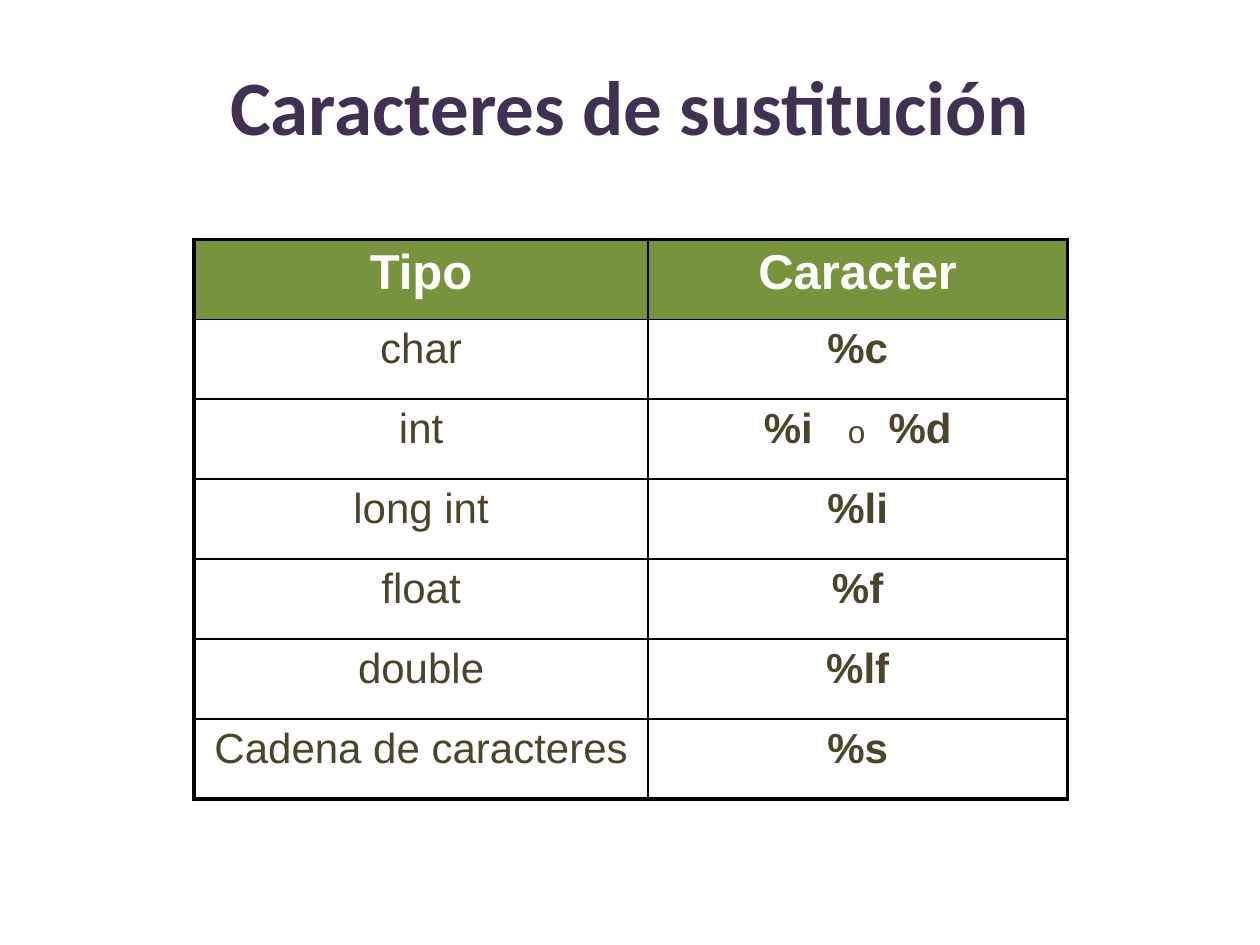
from lxml.etree import SubElement
from pptx import Presentation
from pptx.dml.color import RGBColor
from pptx.enum.text import MSO_ANCHOR, PP_ALIGN
from pptx.oxml.ns import qn
from pptx.util import Inches, Pt

TITLE_PURPLE = RGBColor(0x40, 0x31, 0x52)
HEADER_GREEN = RGBColor(0x77, 0x93, 0x3C)
BODY_OLIVE = RGBColor(0x4A, 0x45, 0x2A)
WHITE = RGBColor(0xFF, 0xFF, 0xFF)
BLACK = RGBColor(0x00, 0x00, 0x00)

OUTER, INNER = Pt(2.25), Pt(1)
COLUMN_SHARES = (0.52, 0.48)
HEADINGS = ("Tipo", "Caracter")
SPECIFIERS = (
    ("char", "%c"),
    ("int", ("%i", "o", "%d")),
    ("long int", "%li"),
    ("float", "%f"),
    ("double", "%lf"),
    ("Cadena de caracteres", "%s"),
)
ALTERNATIVE_GAPS = (13.33, 6.67)  # points added to the space on each side of "o"


def style_font(font, name, size, color, bold):
    font.name, font.size, font.bold = name, Pt(size), bold
    font.color.rgb = color


def add_title(slide, box, wording):
    title = slide.shapes.title
    title.left, title.top, title.width, title.height = box
    frame = title.text_frame
    frame.text = wording
    frame.vertical_anchor = MSO_ANCHOR.MIDDLE
    paragraph = frame.paragraphs[0]
    paragraph.alignment = PP_ALIGN.CENTER
    style_font(paragraph.runs[0].font, "Calibri", 44, TITLE_PURPLE, True)


def set_borders(cell, **widths):
    """Draw the given sides (L, R, T, B), ahead of the cell's fill."""
    properties = cell._tc.get_or_add_tcPr()
    for side, width in widths.items():
        line = SubElement(properties, qn(f"a:ln{side}"), w=str(int(width)))
        fill = SubElement(line, qn("a:solidFill"))
        SubElement(fill, qn("a:srgbClr"), val=str(BLACK))


def add_run(paragraph, wording, size, color, bold):
    run = paragraph.add_run()
    run.text = wording
    style_font(run.font, "Arial", size, color, bold)
    return run


def write_alternatives(paragraph, alternatives):
    """Write two specifiers with a smaller conjunction between wide spaces."""
    first, conjunction, second = alternatives
    before, after = ALTERNATIVE_GAPS
    for wording, size, bold, gap in (
        (first, 24, True, 0), (" ", 24, True, before),
        (conjunction, 18, False, 0), (" ", 24, True, after),
        (second, 24, True, 0),
    ):
        run = add_run(paragraph, wording, size, BODY_OLIVE, bold)
        if gap:
            run._r.get_or_add_rPr().set("spc", str(round(gap * 100)))


def add_specifier_table(slide, box):
    rows = (HEADINGS, *SPECIFIERS)
    last_row, last_column = len(rows) - 1, len(HEADINGS) - 1
    left, top, width, height = box
    table = slide.shapes.add_table(len(rows), len(HEADINGS), *box).table
    table.horz_banding = False
    for column, share in zip(table.columns, COLUMN_SHARES):
        column.width = int(width * share)
    for r, values in enumerate(rows):
        table.rows[r].height = int(height / len(rows))
        for c, value in enumerate(values):
            cell = table.cell(r, c)
            set_borders(
                cell,
                L=OUTER if c == 0 else INNER,
                R=OUTER if c == last_column else INNER,
                T=OUTER if r == 0 else INNER,
                B=OUTER if r == last_row else INNER,
            )
            paragraph = cell.text_frame.paragraphs[0]
            paragraph.alignment = PP_ALIGN.CENTER
            if r == 0:
                cell.fill.solid()
                cell.fill.fore_color.rgb = HEADER_GREEN
                add_run(paragraph, value, 28, WHITE, True)
                continue
            cell.fill.background()
            if isinstance(value, tuple):
                write_alternatives(paragraph, value)
            else:
                add_run(paragraph, value, 24, BODY_OLIVE, c == last_column)


def main():
    deck = Presentation()
    deck.slide_width, deck.slide_height = Inches(10), Inches(7.5)
    slide = deck.slides.add_slide(deck.slide_layouts[5])
    add_title(slide, [Inches(n) for n in (0.67, 0.21, 8.66, 1.25)],
              "Caracteres de sustitución")
    add_specifier_table(slide, [Inches(n) for n in (1.54, 1.9, 6.93, 4.44)])
    deck.save("out.pptx")


if __name__ == "__main__":
    main()
